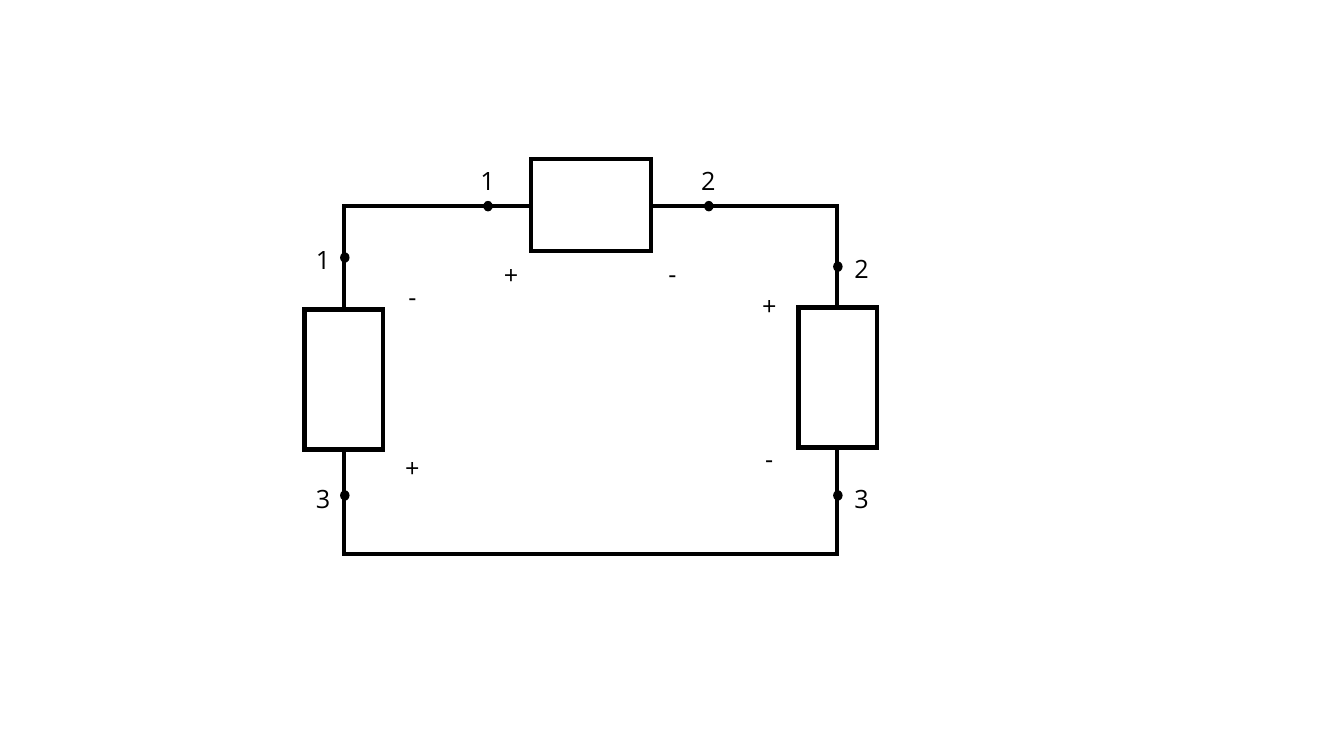
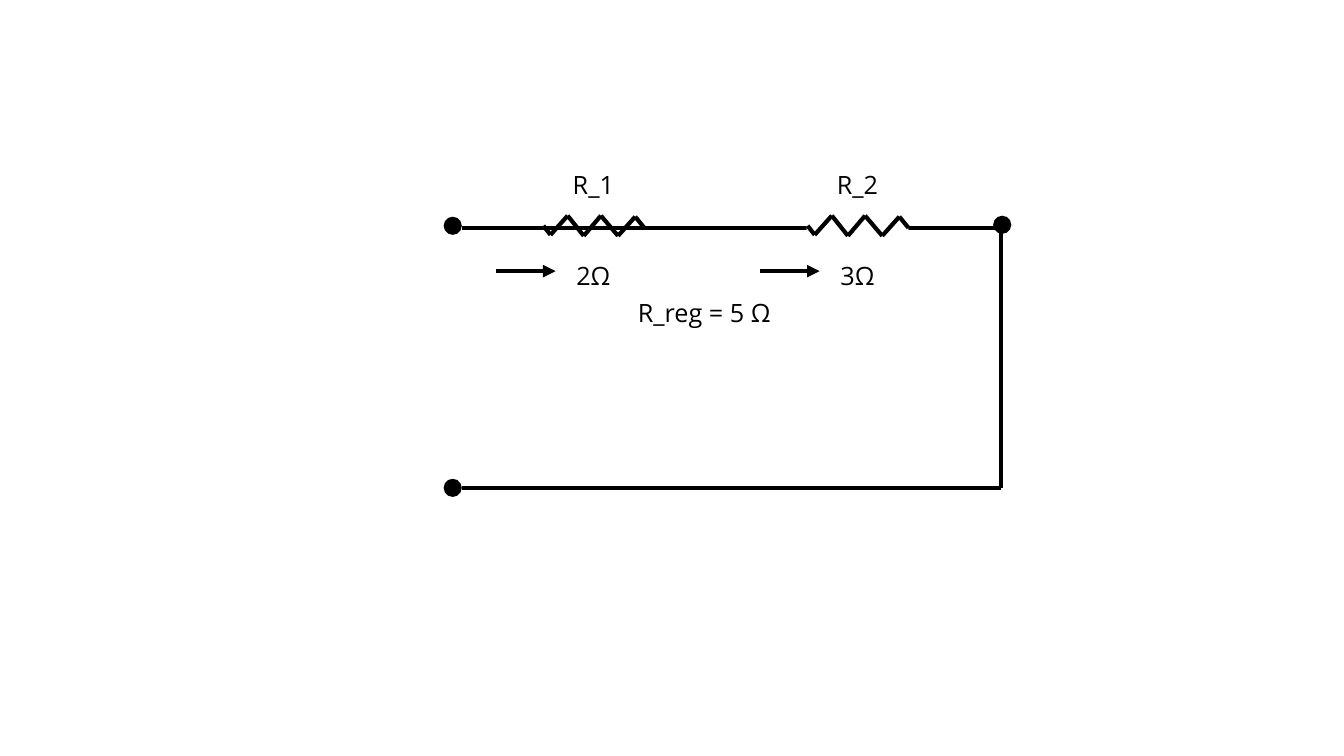
from itertools import pairwise

from lxml import etree
from pptx import Presentation
from pptx.dml.color import RGBColor
from pptx.enum import shapes, text
from pptx.oxml.ns import qn
from pptx.util import Inches, Pt

BLACK = RGBColor(0, 0, 0)
WHITE = RGBColor(255, 255, 255)
FONT, SIZE, STROKE = "Open Sans", 18, 3
RECT, OVAL = shapes.MSO_SHAPE.RECTANGLE, shapes.MSO_SHAPE.OVAL

# Slide 1: closed loop with three components; boxes are left, top, width, height
LOOP = (3.41, 2.04, 4.89, 3.46)
COMPONENTS = [(3.02, 3.07, 0.78, 1.39), (7.92, 3.05, 0.78, 1.39),
              (5.27, 1.58, 1.19, 0.91)]
NODE_SIZE = (0.08, 0.09)
NODES = [(3.38, 2.51), (3.38, 4.87), (4.8, 2), (6.99, 2), (8.27, 2.6), (8.27, 4.87)]
NODE_LABEL_SIZE = (0.31, 0.37)
NODE_LABELS = [("1", 3.05, 2.37), ("3", 3.05, 4.75), ("1", 4.68, 1.59),
               ("2", 6.87, 1.59), ("2", 8.39, 2.46), ("3", 8.39, 4.75)]
SIGN_SIZE = (0.4, 0.4)
SIGNS = [("-", 3.89, 2.74), ("-", 6.47, 2.51), ("-", 7.43, 4.35),
         ("+", 3.89, 4.44), ("+", 4.87, 2.52), ("+", 7.43, 2.83)]

# Slide 2: two resistors in series
WIRE_LEFT, WIRE_RIGHT, WIRE_TOP, WIRE_BOTTOM = 4.58, 9.93, 2.26, 4.84
TERMINAL = 0.18
TERMINALS = [(4.4, 2.15), (4.4, 4.75), (9.85, 2.14)]
GAP = (8, 2.05, 1.01, 0.42)
RESISTORS = [("R_1", "2Ω", 5.39), ("R_2", "3Ω", 8.01)]
ZIGZAG = [(0, 2.24), (0.07, 2.33), (0.24, 2.14), (0.4, 2.34),
          (0.57, 2.14), (0.74, 2.34), (0.91, 2.15), (1, 2.26)]
LABEL_SIZE = (0.75, 0.32)
LABEL_DX, NAME_Y, VALUE_Y = 0.12, 1.63, 2.53
ARROW_DX, ARROW_LENGTH, ARROW_Y = -0.47, 0.59, 2.69
TOTAL = ("R_reg = 5 Ω", 6.13, 2.9, 1.71, 0.4)


def add_shape(s, kind, box, fill, weight=None):
    """Add a filled shape, outlined in black when a weight is given."""
    sp = s.shapes.add_shape(kind, *map(Inches, box))
    sp.shadow.inherit = False
    sp.fill.solid()
    sp.fill.fore_color.rgb = fill
    if weight is None:
        sp.line.fill.background()
        return
    sp.line.color.rgb = BLACK
    sp.line.width = Pt(weight)
    if kind == RECT:
        ln = sp.line._get_or_add_ln()
        etree.SubElement(ln, qn("a:miter"), lim="800000")


def add_line(s, start, end, arrow=False):
    """Add a straight black line, with an optional arrowhead at its end."""
    c = s.shapes.add_connector(shapes.MSO_CONNECTOR.STRAIGHT,
                               *map(Inches, (*start, *end)))
    c.line.color.rgb = BLACK
    c.line.width = Pt(STROKE)
    if arrow:
        etree.SubElement(c.line._get_or_add_ln(), qn("a:tailEnd"), type="triangle")
    etree.SubElement(c._element.spPr, qn("a:effectLst"))


def add_label(s, words, *box):
    """Add one centred line of text."""
    tf = s.shapes.add_textbox(*map(Inches, box)).text_frame
    tf.word_wrap = True
    tf.margin_left = tf.margin_right = 0
    p = tf.paragraphs[0]
    p.alignment = text.PP_ALIGN.CENTER
    r = p.add_run()
    r.text = words
    r.font.name, r.font.size = FONT, Pt(SIZE)
    r.font.color.rgb = BLACK


def draw_loop(s):
    """Draw the loop with its components, nodes and polarity signs."""
    for box in [LOOP, *COMPONENTS]:
        add_shape(s, RECT, box, WHITE, STROKE)
    for node in NODES:
        add_shape(s, OVAL, node + NODE_SIZE, BLACK, 1)
    for labels, size in ((NODE_LABELS, NODE_LABEL_SIZE), (SIGNS, SIGN_SIZE)):
        for label in labels:
            add_label(s, *label, *size)


def draw_resistor(s, name, value, x):
    """Draw a zigzag starting at x with its name, value and current arrow."""
    for (x1, y1), (x2, y2) in pairwise(ZIGZAG):
        add_line(s, (x + x1, y1), (x + x2, y2))
    add_label(s, name, x + LABEL_DX, NAME_Y, *LABEL_SIZE)
    add_label(s, value, x + LABEL_DX, VALUE_Y, *LABEL_SIZE)
    arrow_x = x + ARROW_DX
    add_line(s, (arrow_x, ARROW_Y), (arrow_x + ARROW_LENGTH, ARROW_Y), arrow=True)


def draw_series(s):
    """Draw the wires, terminals and resistors of the series circuit."""
    top_right, bottom_right = (WIRE_RIGHT, WIRE_TOP), (WIRE_RIGHT, WIRE_BOTTOM)
    add_line(s, (WIRE_LEFT, WIRE_TOP), top_right)
    add_shape(s, RECT, GAP, WHITE)
    for resistor in RESISTORS:
        draw_resistor(s, *resistor)
    add_line(s, (WIRE_LEFT, WIRE_BOTTOM), bottom_right)
    add_line(s, bottom_right, top_right)
    for terminal in TERMINALS:
        add_shape(s, OVAL, (*terminal, TERMINAL, TERMINAL), BLACK)
    add_label(s, *TOTAL)


prs = Presentation()
prs.slide_width, prs.slide_height = Inches(13.33), Inches(7.5)
for draw in (draw_loop, draw_series):
    draw(prs.slides.add_slide(prs.slide_layouts[6]))
prs.save("out.pptx")
